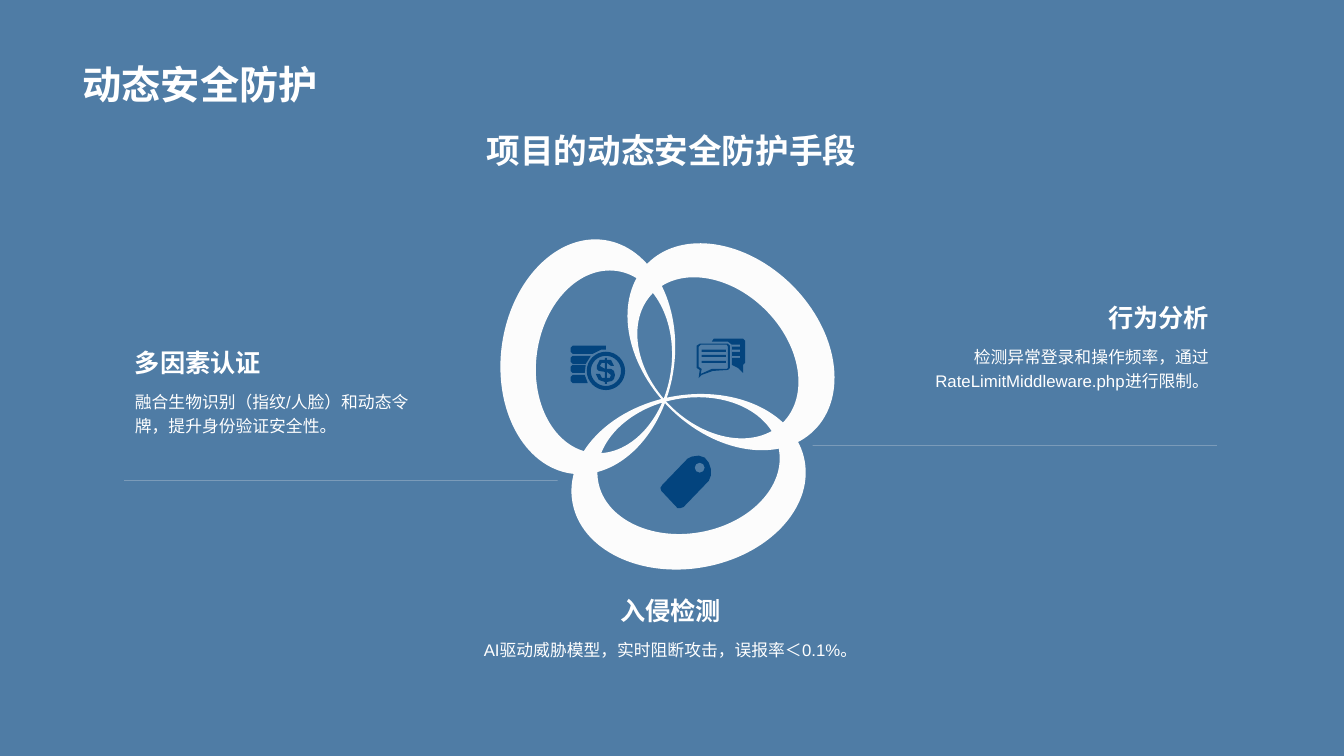
from dataclasses import dataclass
from math import cos, radians, sin

from lxml import etree
from pptx import Presentation
from pptx import util as u
from pptx.dml.color import RGBColor
from pptx.enum import shapes, text
from pptx.oxml import ns


@dataclass(frozen=True)
class Theme:
    font: str = "Arial"
    background: str = "4F7CA5"
    navy: str = "03447E"
    ring: str = "FCFCFC"
    rule: str = "F0F0F0"
    white: str = "FFFFFF"
    title: int = 28
    subtitle: int = 24
    heading: int = 18
    body: int = 12


@dataclass(frozen=True)
class Box:
    left: float
    top: float
    width: float
    height: float

    def inches(self):
        return [u.Inches(v) for v in (self.left, self.top, self.width, self.height)]


THEME = Theme()
LEFT, CENTER, RIGHT = text.PP_ALIGN.LEFT, text.PP_ALIGN.CENTER, text.PP_ALIGN.RIGHT
TOP, BOTTOM = text.MSO_ANCHOR.TOP, text.MSO_ANCHOR.BOTTOM

# Half axes shared by the three rings.
RING_OUTER, RING_INNER = (1.17, 0.86), (0.91, 0.67)
# Outer centre, inner centre, tilt in degrees.
RINGS = [
    ((0.94, 1.25), (1.1, 1.3), -82),
    ((2.36, 1.15), (2.23, 1.26), 45),
    ((1.94, 2.49), (1.94, 2.33), -10),
]

DOLLAR = [
    [(.36, .17), (.36, .23), (.4, .23), (.43, .25), (.44, .29), (.43, .33), (.41, .35),
     (.36, .36), (.36, .38), (.34, .38), (.34, .36), (.28, .34), (.25, .28), (.29, .28),
     (.31, .32), (.34, .32), (.34, .26), (.28, .25), (.26, .23), (.26, .2), (.29, .14),
     (.34, .14), (.34, .12), (.36, .12), (.36, .14), (.4, .14), (.43, .2), (.4, .2)],
    [(.34, .17), (.31, .17), (.29, .2), (.34, .23)],
    [(.36, .26), (.36, .32), (.39, .32), (.4, .29)],
]
# Right ends of the stacked coins, cut away around the big coin.
COIN_ENDS = [
    [(.35, 0), (.35, .04), (.3, .04), (.22, .08)],
    [(.2, .1), (.15, .18)],
    [(.15, .19), (.14, .27)],
    [(.14, .29), (.17, .37)],
]
BUBBLES = [
    [(.33, .29), (.31, .31), (.16, .32), (.05, .36), (.02, .39), (.03, .31), (0, .29),
     (0, .07), (.03, .05), (.31, .05), (.33, .07)],
    [(.31, .29), (.3, .3), (.15, .3), (.04, .35), (.05, .3), (.02, .28), (.02, .08),
     (.04, .06), (.3, .06), (.31, .08)],
    [(.35, .26), (.41, .29), (.46, .34), (.46, .26), (.48, .24), (.48, .02), (.46, 0),
     (.17, 0), (.15, .03), (.31, .03), (.35, .06)],
]
TAG = [(.17, .52), (.01, .35), (0, .32), (.02, .29), (.27, .03), (.31, .01), (.38, 0),
       (.44, .02), (.48, .07), (.5, .13), (.5, .2), (.48, .25), (.23, .51), (.2, .52)]


def ellipse(center, radii, tilt=0):
    """Control points of the four curves round a tilted ellipse."""
    a, k = radians(tilt), 0.5523
    unit = [(1, 0)]
    for x, y in [(1, 0), (0, 1), (-1, 0), (0, -1)]:
        unit += [(x - k * y, y + k * x), (k * x - y, k * y + x), (-y, x)]
    return [(center[0] + radii[0] * x * cos(a) - radii[1] * y * sin(a),
             center[1] + radii[0] * x * sin(a) + radii[1] * y * cos(a))
            for x, y in unit]


def bar(left, top, right, height=0.02):
    return [(left, top), (right, top), (right, top + height), (left, top + height)]


def stacked_coin(end):
    top, bottom = end[0][1], end[-1][1]
    return end + [(.02, bottom), (0, bottom - .02), (0, top + .02), (.02, top)]


def draw_outline(page, left, top, polygons, rounds, color):
    """Draw polygons and ellipses as one shape; inner outlines become holes."""
    builder = None
    for contour in polygons + rounds:
        points = [(u.Inches(left + x), u.Inches(top + y)) for x, y in contour]
        if builder is None:
            builder = page.shapes.build_freeform(*points[0])
        else:
            builder.move_to(*points[0])
        builder.add_line_segments(points[1:], close=True)
    shape = builder.convert_to_shape()
    straight = sum(len(polygon) - 1 for polygon in polygons)
    controls = list(shape._element.iter(ns.qn("a:lnTo")))[straight:]
    for i in range(0, len(controls), 3):
        curve = etree.Element(ns.qn("a:cubicBezTo"))
        controls[i].addprevious(curve)
        for control in controls[i:i + 3]:
            curve.append(control[0])
            control.getparent().remove(control)
    shape.shadow.inherit = False
    shape.fill.solid()
    shape.fill.fore_color.rgb = RGBColor.from_string(color)
    shape.line.fill.background()


def write(shape, words, size, bold=False, align=LEFT, anchor=TOP, spacing=1.0):
    frame = shape.text_frame
    frame.word_wrap = True
    frame.auto_size = text.MSO_AUTO_SIZE.NONE
    frame.vertical_anchor = anchor
    para = frame.paragraphs[0]
    para.alignment, para.line_spacing = align, spacing
    span = para.add_run()
    span.text = words
    span.font.name, span.font.size, span.font.bold = THEME.font, u.Pt(size), bold
    span.font.color.rgb = RGBColor.from_string(THEME.white)


def add_titles(page, box, title, subtitle):
    holder = page.shapes.title
    holder.left, holder.top, holder.width, holder.height = Box(
        box.left, box.top, box.width, 0.98).inches()
    write(holder, title, THEME.title, bold=True, anchor=BOTTOM)
    below = Box(box.left, box.top + 1.1, box.width, 0.9)
    write(page.shapes.add_textbox(*below.inches()), subtitle, THEME.subtitle,
          bold=True, align=CENTER)


def add_rule(page, left, top, width):
    rule = page.shapes.add_connector(
        shapes.MSO_CONNECTOR.STRAIGHT, u.Inches(left + width), u.Inches(top),
        u.Inches(left), u.Inches(top))
    rule.line.width = u.Pt(0.25)
    rule.line.color.rgb = RGBColor.from_string(THEME.rule)
    properties = rule.line._get_or_add_ln().getparent()
    color = properties.find(".//" + ns.qn("a:srgbClr"))
    etree.SubElement(color, ns.qn("a:alpha"), val="80000")
    etree.SubElement(properties, ns.qn("a:effectLst"))


def add_emblem(page, box):
    """Three interlocked rings, each holding an icon."""
    coins = [stacked_coin(end) for end in COIN_ENDS] + DOLLAR
    coin_rims = [ellipse((.35, .25), (r, r)) for r in (.19, .15)]
    chat = BUBBLES + [bar(.05, y, .29) for y in (.11, .16, .22)]
    chat += [bar(.35, y, .43) for y in (.06, .11, .17)]
    tag_hole = ellipse((.39, .12), (.05, .05))
    icons = [(.77, 1.14, coins, coin_rims), (2.02, 1.07, chat, []),
             (1.66, 2.23, [TAG], [tag_hole])]
    for (outer, inner, tilt), (x, y, polygons, rounds) in zip(RINGS, icons):
        ring = [ellipse(outer, RING_OUTER, tilt), ellipse(inner, RING_INNER, tilt)]
        draw_outline(page, box.left, box.top, [], ring, THEME.ring)
        draw_outline(page, box.left + x, box.top + y, polygons, rounds, THEME.navy)


def add_caption(page, box, heading, body, align, heading_height):
    head = Box(box.left, box.top, box.width, heading_height)
    rest = Box(box.left, box.top + heading_height, box.width, box.height - heading_height)
    write(page.shapes.add_textbox(*head.inches()), heading, THEME.heading,
          bold=True, align=align, anchor=BOTTOM)
    write(page.shapes.add_textbox(*rest.inches()), body, THEME.body,
          align=align, spacing=1.2)


def main():
    deck = Presentation()
    deck.slide_width, deck.slide_height = u.Inches(13.33), u.Inches(7.5)
    page = deck.slides.add_slide(deck.slide_layouts[5])
    page.background.fill.solid()
    page.background.fill.fore_color.rgb = RGBColor.from_string(THEME.background)

    add_titles(page, Box(0.72, 0.14, 11.88, 2), "动态安全防护", "项目的动态安全防护手段")
    add_rule(page, 1.23, 4.77, 4.3)
    add_rule(page, 8.06, 4.42, 4.01)
    add_emblem(page, Box(4.89, 2.29, 3.52, 3.46))
    add_caption(page, Box(1.24, 3.04, 3.04, 1.56), "多因素认证",
                "融合生物识别（指纹/人脸）和动态令牌，提升身份验证安全性。", LEFT, 0.76)
    add_caption(page, Box(9.05, 2.59, 3.04, 1.57), "行为分析",
                "检测异常登录和操作频率，通过RateLimitMiddleware.php进行限制。", RIGHT, 0.76)
    add_caption(page, Box(3.26, 5.81, 6.78, 0.9), "入侵检测",
                "AI驱动威胁模型，实时阻断攻击，误报率＜0.1%。", CENTER, 0.45)
    deck.save("out.pptx")


if __name__ == "__main__":
    main()
